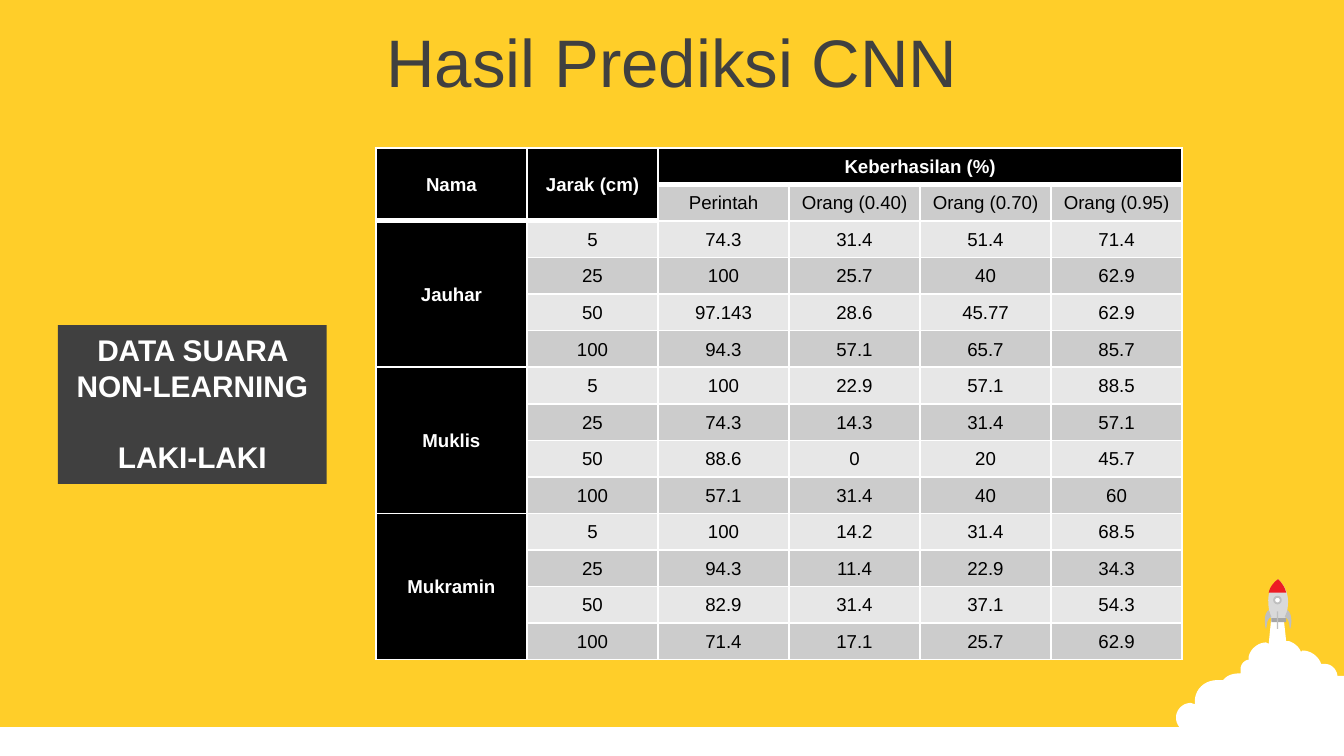
from lxml.etree import SubElement
from pptx import Presentation
from pptx.dml.color import RGBColor
from pptx.enum.shapes import MSO_SHAPE as SHAPE
from pptx.enum.text import MSO_ANCHOR as ANCHOR, MSO_AUTO_SIZE as AUTO, PP_ALIGN as ALIGN
from pptx.oxml.ns import qn
from pptx.util import Inches, Pt

COLS, ROWS = 100, 56.25  # grid of 0.1 inch squares
YELLOW, WHITE, BLACK, DARK = "FFCE29", "FFFFFF", "000000", "404040"
BANDS = "E7E7E7", "CCCCCC"

MEASURES = ["Perintah", "Orang (0.40)", "Orang (0.70)", "Orang (0.95)"]
DISTANCES = ["5", "25", "50", "100"]
RESULTS = {
    "Jauhar": ["74.3 31.4 51.4 71.4", "100 25.7 40 62.9",
               "97.143 28.6 45.77 62.9", "94.3 57.1 65.7 85.7"],
    "Muklis": ["100 22.9 57.1 88.5", "74.3 14.3 31.4 57.1",
               "88.6 0 20 45.7", "57.1 31.4 40 60"],
    "Mukramin": ["100 14.2 31.4 68.5", "94.3 11.4 22.9 34.3",
                 "82.9 31.4 37.1 54.3", "71.4 17.1 25.7 62.9"],
}

# Outlines: a pair is a line end, six numbers are a cubic curve.
CLOUD = [
    (94.6, 45.9), (95.5, 45.9), (95.7, 47.7), (95.9, 47.7),
    (96.2, 47.8, 96.5, 48, 96.7, 48.3), (96.8, 48.5), (96.9, 48.4),
    (97.5, 48.4, 98.1, 48.8, 98.3, 49.4), (98.6, 49.4),
    (99, 49.4, 99.4, 49.7, 99.5, 50.2), (99.5, 50.3), (100, 50.3),
    (100, 56.1), (89.3, 56.1), (89.3, 54.3), (89.2, 54.4),
    (89.1, 54.5, 88.9, 54.5, 88.6, 54.5), (88, 54.5, 87.5, 54, 87.5, 53.4),
    (87.5, 52.8, 88, 52.3, 88.6, 52.3), (88.9, 52.4), (88.9, 52.2),
    (88.9, 51.3, 89.6, 50.6, 90.6, 50.6), (91, 50.6), (91.1, 50.5),
    (91.4, 50.2, 91.8, 50.1, 92.3, 50.1), (92.3, 49.8),
    (92.3, 49.5, 92.5, 49.2, 92.8, 49.1), (92.9, 49.1), (92.9, 48.9),
    (93, 48.3, 93.6, 47.8, 94.2, 47.8), (94.4, 47.9),
]
BODY = [(94.6, 46.2), (94.4, 45.3, 94, 44, 95.1, 43.1),
        (96.2, 44.1, 95.8, 45.4, 95.6, 46.2)]
NOSE = [(95.1, 43.1), (95.4, 43.4, 95.6, 43.7, 95.7, 44.1), (94.4, 44.1),
        (94.5, 43.7, 94.7, 43.4, 95.1, 43.1)]
FIN = [(94.4, 45.4), (94.6, 45.9), (94.2, 46.1, 94.3, 46.6, 94.2, 46.8),
       (94.1, 46.5, 94, 45.7, 94.4, 45.4)]
ROCKET_AXIS = 95.1


def grid(*steps):
    return [Inches(n / 10) for n in steps]


def rgb(color):
    return RGBColor.from_string(color)


def flatten(outline, steps=10):
    """Turn lines and cubic curves into a list of points."""
    points = [outline[0]]
    for part in outline[1:]:
        if len(part) == 2:
            points.append(part)
            continue
        ctrl = [points[-1], part[:2], part[2:4], part[4:]]
        for i in range(1, steps + 1):
            t = i / steps
            weights = (1 - t) ** 3, 3 * t * (1 - t) ** 2, 3 * t * t * (1 - t), t ** 3
            points.append(tuple(sum(w * c[axis] for w, c in zip(weights, ctrl))
                                for axis in (0, 1)))
    return points


class Deck:
    font = "Arial"

    def __init__(self):
        self.prs = Presentation()
        self.prs.slide_width, self.prs.slide_height = grid(COLS, ROWS)
        self.slide = self.prs.slides.add_slide(self.prs.slide_layouts[5])
        self.slide.background.fill.solid()
        self.slide.background.fill.fore_color.rgb = rgb(YELLOW)

    def style(self, p, size, color, bold=False):
        p.alignment = ALIGN.CENTER
        p.font.name, p.font.size, p.font.bold = self.font, Pt(size), bold
        p.font.color.rgb = rgb(color)

    def paint(self, sp, fill, line=None):
        sp.shadow.inherit = False
        sp.fill.solid()
        sp.fill.fore_color.rgb = rgb(fill)
        if line:
            sp.line.color.rgb, sp.line.width = rgb(line), Pt(1)
        else:
            sp.line.fill.background()
        return sp

    def title(self, text, x, y, w, h):
        sp = self.slide.shapes.title
        sp.left, sp.top, sp.width, sp.height = grid(x, y, w, h)
        tf = sp.text_frame
        tf.text, tf.vertical_anchor, tf.auto_size = text, ANCHOR.MIDDLE, AUTO.NONE
        self.style(tf.paragraphs[0], 36, DARK)

    def shape(self, x, y, w, h, fill, kind=SHAPE.RECTANGLE, line=None):
        sp = self.slide.shapes.add_shape(kind, *grid(x, y, w, h))
        return self.paint(sp, fill, line)

    def outline(self, parts, fill):
        points = [grid(*pt) for pt in flatten(parts)]
        builder = self.slide.shapes.build_freeform(*points[0])
        builder.add_line_segments(points[1:], close=True)
        self.paint(builder.convert_to_shape(), fill)

    def label(self, lines, gap, *box):
        tf = self.shape(*box, DARK).text_frame
        tf.word_wrap, tf.vertical_anchor = True, ANCHOR.TOP
        tf.text = "\n".join(lines)
        for i, p in enumerate(tf.paragraphs):
            self.style(p, 16, WHITE, bold=True)
            if i:
                p.space_before = Pt(gap)

    def borders(self, cell, **widths):
        tc_pr = cell._tc.get_or_add_tcPr()
        for side in "LRTB":
            if side in widths:
                ln = SubElement(tc_pr, qn(f"a:ln{side}"), w=str(Pt(widths[side])))
                SubElement(SubElement(ln, qn("a:solidFill")), qn("a:srgbClr"), val=WHITE)

    def cell(self, cell, text, fill, head):
        cell.fill.solid()
        cell.fill.fore_color.rgb = rgb(fill)
        cell.vertical_anchor = ANCHOR.MIDDLE
        cell.margin_left = cell.margin_right = Inches(0.07)
        cell.margin_top = cell.margin_bottom = 0
        cell.text = text
        p = cell.text_frame.paragraphs[0]
        p.line_spacing = 1.07
        self.style(p, 10, WHITE if head else BLACK, head)

    def table(self, rows, merges, first_col, x, y, w, h):
        n, m = len(rows), len(rows[0])
        tbl = self.slide.shapes.add_table(n, m, *grid(x, y, w, h)).table
        for c, col in enumerate(tbl.columns):
            col.width, = grid(first_col if c == 0 else (w - first_col) / (m - 1))
        for row in tbl.rows:
            row.height, = grid(h / n)
        for r, row in enumerate(rows):
            for c, text in enumerate(row):
                cell = tbl.cell(r, c)
                head = r == 0 or c == 0 or (r == 1 and c == 1)
                top = {"T": 1} if r == 0 else {}
                thick = r == 0 or (r == 1 and c < 2)
                self.borders(cell, L=1, R=1, B=3 if thick else 1, **top)
                band = BANDS[1 if r == 1 else r % 2]
                self.cell(cell, text, BLACK if head else band, head)
        for start, end in merges:
            tbl.cell(*start).merge(tbl.cell(*end))

    def rocket(self):
        self.outline(CLOUD, WHITE)
        self.outline(BODY, "D9D9D9")
        self.shape(94.6, 46, 1.1, 0.3, "A6A6A6")
        self.outline(NOSE, "ED1C24")
        self.shape(94.8, 44.4, 0.5, 0.5, WHITE, SHAPE.OVAL, "BFBFBF")
        self.shape(95, 45.5, 0.1, 1.3, "BFBFBF")
        mirrored = [tuple(v if i % 2 else 2 * ROCKET_AXIS - v for i, v in enumerate(part))
                    for part in FIN]
        for fin in (FIN, mirrored):
            self.outline(fin, "BFBFBF")


def main():
    deck = Deck()
    deck.shape(0, 54.1, COLS, ROWS - 54.1, WHITE)
    deck.rocket()
    deck.title("Hasil Prediksi CNN", 0, 1.35, COLS, 6.3)
    deck.label(["DATA SUARA NON-LEARNING", "LAKI-LAKI"], 19, 4.32, 24.2, 20, 11.8)

    rows = [["Nama", "Jarak (cm)", "Keberhasilan (%)", "", "", ""], ["", "", *MEASURES]]
    merges = [((0, 0), (1, 0)), ((0, 1), (1, 1)), ((0, 2), (0, 5))]
    for name, results in RESULTS.items():
        start = len(rows)
        merges.append(((start, 0), (start + len(results) - 1, 0)))
        for i, (distance, values) in enumerate(zip(DISTANCES, results)):
            rows.append([name if i == 0 else "", distance, *values.split()])
    deck.table(rows, merges, 11.25, 27.96, 11, 60, 38.12)
    deck.prs.save("out.pptx")


if __name__ == "__main__":
    main()
